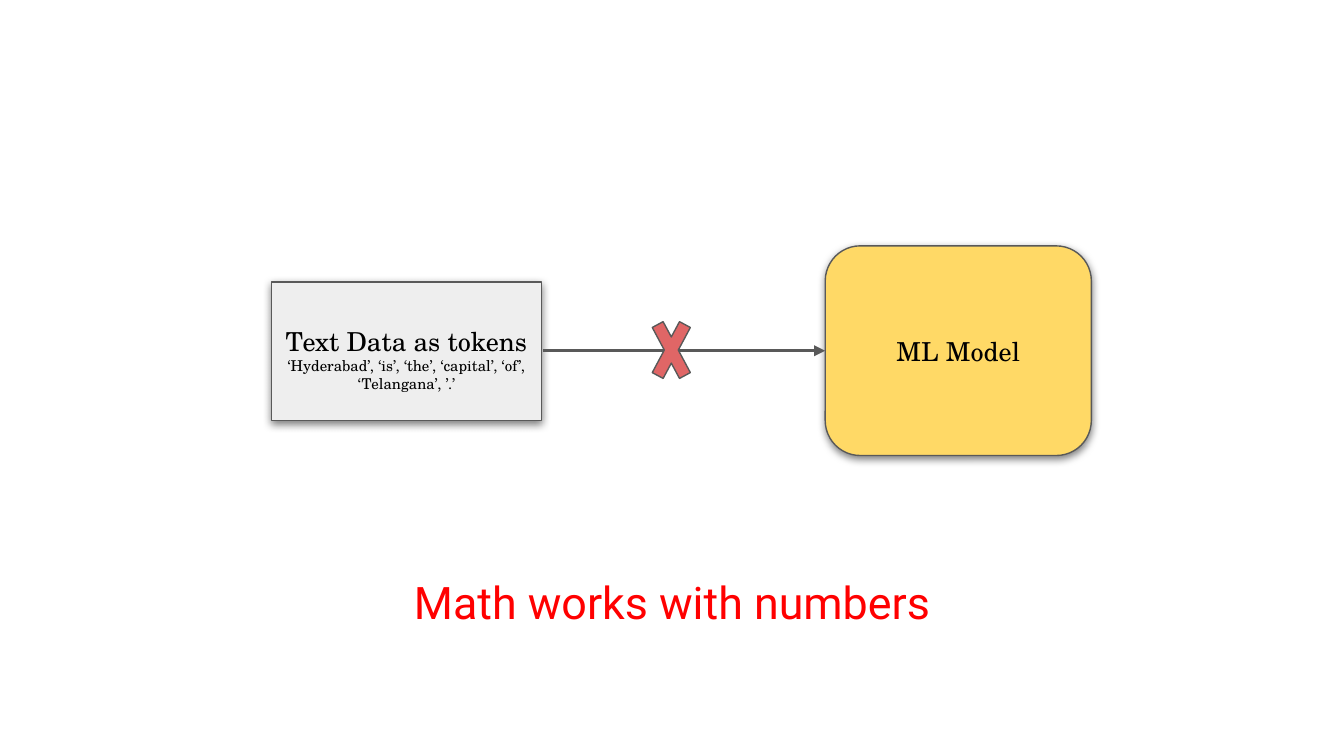
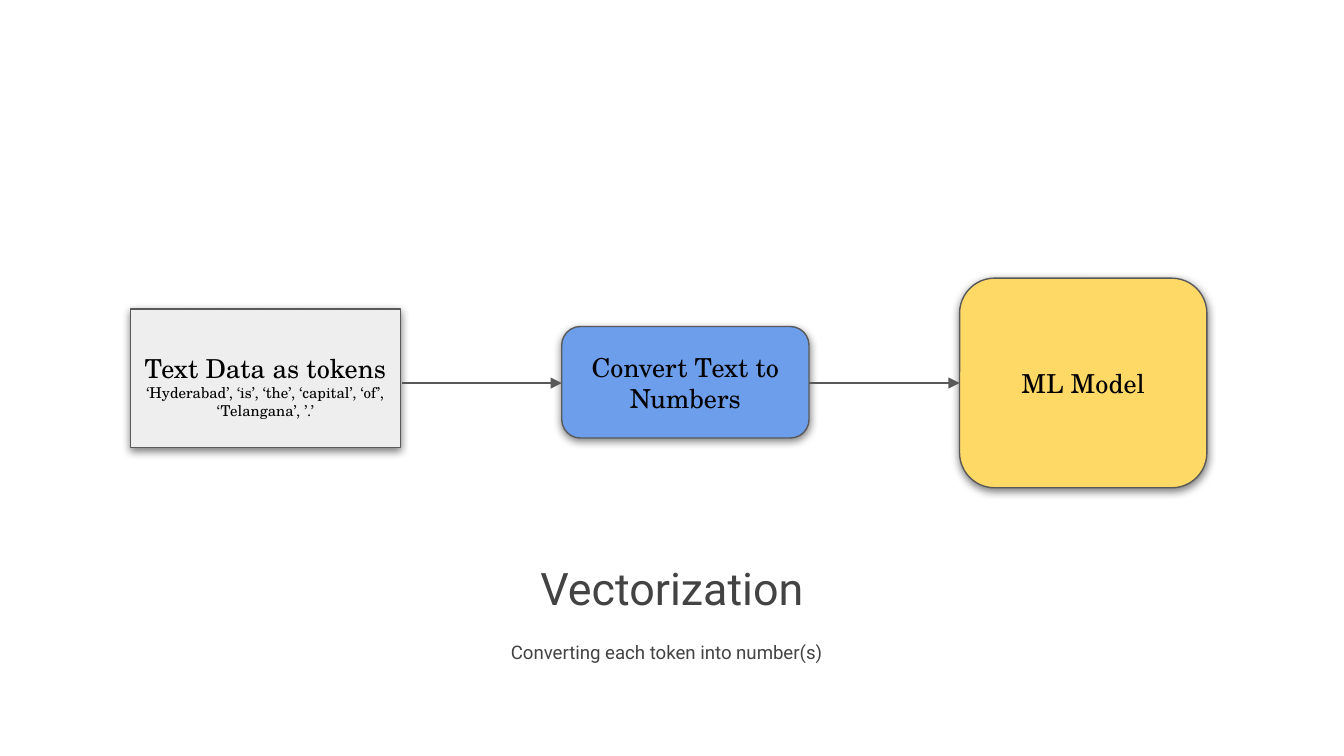
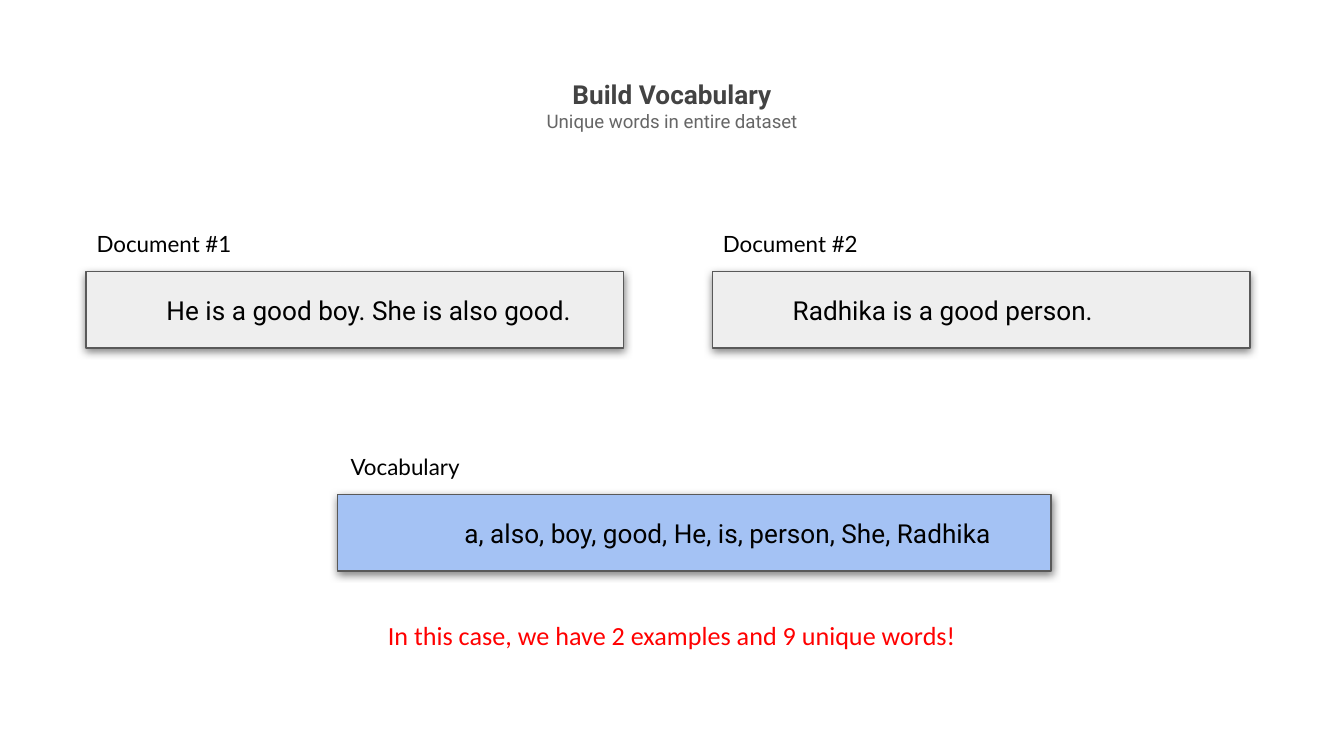
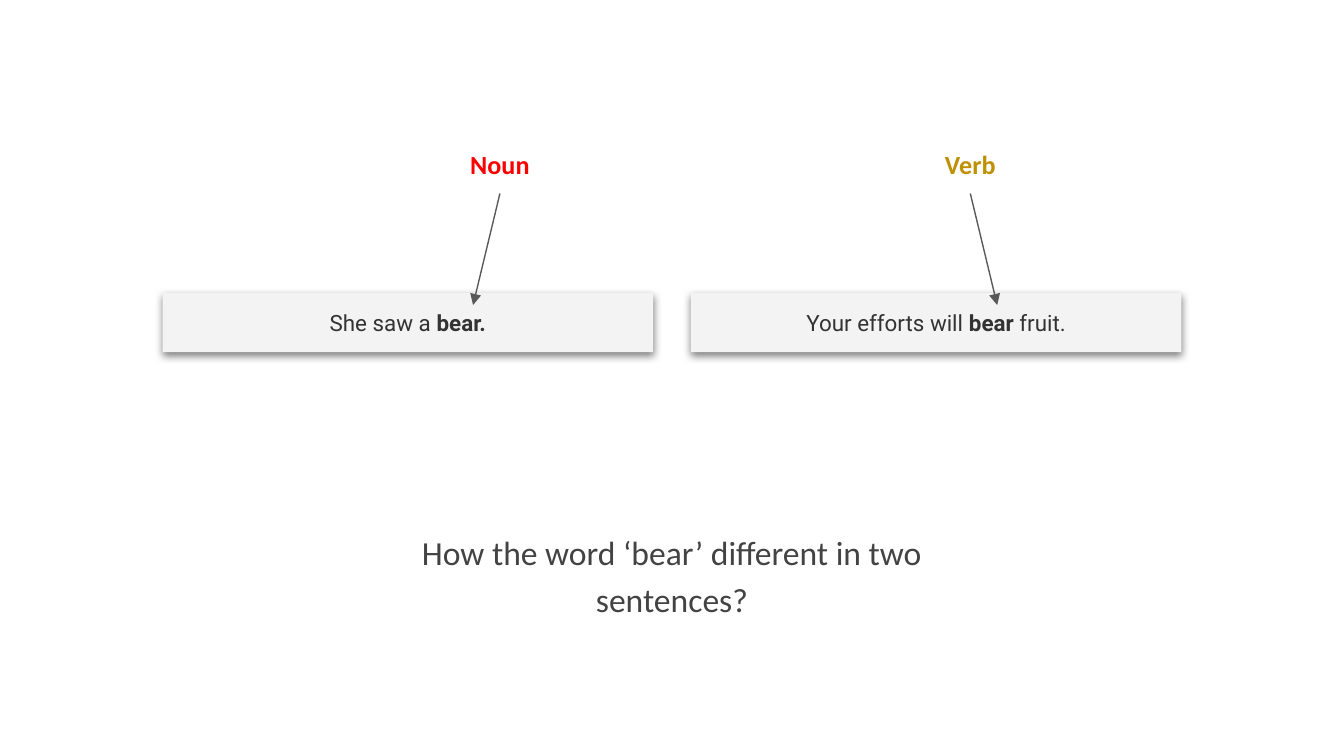
from dataclasses import dataclass
from typing import Optional

from lxml.etree import SubElement
from pptx import Presentation
from pptx.dml.color import RGBColor
from pptx.enum.shapes import MSO_CONNECTOR, MSO_SHAPE
from pptx.enum.text import MSO_ANCHOR, MSO_AUTO_SIZE, PP_ALIGN
from pptx.oxml.ns import qn
from pptx.util import Inches, Pt

COLORS = {
    "black": "000000",
    "dark": "434343",
    "body": "333333",
    "muted": "666666",
    "line": "595959",
    "red": "FF0000",
    "cross": "E06666",
    "gold": "BF9000",
    "yellow": "FFD966",
    "blue": "6D9EEB",
    "light_blue": "A4C2F4",
    "grey": "EEEEEE",
    "pale": "F3F3F3",
}
SERIF = "TeX Gyre Schola"
SLIDE_WIDTH = 10
SLIDE_HEIGHT = SLIDE_WIDTH * 9 / 16
TITLE_LEFT, TITLE_WIDTH = 1.03, 7.94


@dataclass(frozen=True)
class Run:
    text: str
    bold: Optional[bool] = None
    size: Optional[float] = None


@dataclass(frozen=True)
class Para:
    runs: tuple[Run, ...]
    size: float
    font: str = "Roboto"
    color: str = "black"
    bold: bool = False
    align: PP_ALIGN = PP_ALIGN.CENTER
    spacing: float = 1.0
    indent: float = 0


@dataclass(frozen=True)
class Area:
    left: float
    top: float
    width: float
    height: float

    def lengths(self) -> tuple:
        return tuple(Inches(v) for v in (self.left, self.top, self.width, self.height))


@dataclass(frozen=True)
class Box:
    area: Area
    fill: str
    paras: tuple[Para, ...] = ()
    kind: MSO_SHAPE = MSO_SHAPE.RECTANGLE
    adjust: Optional[float] = None
    outlined: bool = True
    shadow: bool = True


def para(text: str, size: float, **style) -> Para:
    return Para((Run(text),), size, **style)


def rgb(name: str) -> RGBColor:
    return RGBColor.from_string(COLORS[name])


def write(tf, paras: tuple[Para, ...], anchor=MSO_ANCHOR.MIDDLE) -> None:
    tf.word_wrap = True
    tf.auto_size = MSO_AUTO_SIZE.NONE
    tf.vertical_anchor = anchor
    tf.margin_left = tf.margin_right = tf.margin_top = tf.margin_bottom = Inches(0.1)
    for i, item in enumerate(paras):
        p = tf.add_paragraph() if i else tf.paragraphs[0]
        p.alignment = item.align
        p.line_spacing = item.spacing
        if item.indent:
            p._p.get_or_add_pPr().set("indent", str(Inches(item.indent)))
        p.font.name = item.font
        p.font.size = Pt(item.size)
        p.font.bold = item.bold
        p.font.color.rgb = rgb(item.color)
        for run in item.runs:
            r = p.add_run()
            r.text = run.text
            if run.bold is not None:
                r.font.bold = run.bold
            if run.size is not None:
                r.font.size = Pt(run.size)


def add_titled_slide(prs, top: float, height: float, *paras: Para,
                     left: float = TITLE_LEFT, width: float = TITLE_WIDTH):
    slide = prs.slides.add_slide(prs.slide_layouts[5])
    title = slide.shapes.title
    title.left, title.top, title.width, title.height = Area(left, top, width, height).lengths()
    write(title.text_frame, paras)
    return slide


def add_box(slide, box: Box) -> None:
    s = slide.shapes.add_shape(box.kind, *box.area.lengths())
    if box.adjust is not None:
        s.adjustments[0] = box.adjust
    s.fill.solid()
    s.fill.fore_color.rgb = rgb(box.fill)
    if box.outlined:
        s.line.color.rgb = rgb("line")
        s.line.width = Pt(0.75)
    else:
        s.line.fill.background()
    s.shadow.inherit = False
    if box.shadow:
        effects = s._element.spPr.find(qn("a:effectLst"))
        outer = SubElement(effects, qn("a:outerShdw"), blurRad=str(Pt(4.5)),
                           dist=str(Pt(1.5)), dir="5400000", algn="bl", rotWithShape="0")
        tint = SubElement(outer, qn("a:srgbClr"), val=COLORS["black"])
        SubElement(tint, qn("a:alpha"), val="50000")
    if box.paras:
        write(s.text_frame, box.paras)


def add_text(slide, area: Area, item: Para, anchor=MSO_ANCHOR.MIDDLE) -> None:
    s = slide.shapes.add_textbox(*area.lengths())
    write(s.text_frame, (item,), anchor)


def add_label(slide, left: float, top: float, text: str, width: float = 4) -> None:
    item = para(text, 12, font="Lato", align=PP_ALIGN.LEFT)
    add_text(slide, Area(left, top, width, 0.41), item, MSO_ANCHOR.TOP)


def add_arrow(slide, x1: float, y1: float, x2: float, y2: float, width: float = 1.5) -> None:
    s = slide.shapes.add_connector(
        MSO_CONNECTOR.STRAIGHT, Inches(x1), Inches(y1), Inches(x2), Inches(y2))
    s.line.color.rgb = rgb("line")
    s.line.width = Pt(width)
    SubElement(s.line._get_or_add_ln(), qn("a:tailEnd"), type="triangle")
    SubElement(s._element.spPr, qn("a:effectLst"))


def add_tokens(slide, left: float, top: float) -> None:
    add_box(slide, Box(Area(left, top, 2.01, 1.03), "grey", (
        para("Text Data as tokens", 14, font=SERIF, spacing=1.5),
        para("‘Hyderabad’, ‘is’, ‘the’, ‘capital’, ‘of’, ‘Telangana’, ’.’", 8, font=SERIF))))


def add_stage(slide, area: Area, fill: str, text: str) -> None:
    add_box(slide, Box(area, fill, (para(text, 14, font=SERIF),),
                       MSO_SHAPE.ROUNDED_RECTANGLE, 0.167))


def build_problem(prs) -> None:
    slide = add_titled_slide(prs, 4.24, 0.47,
                             para("Math works with numbers", 24, color="red"))
    add_tokens(slide, 2.02, 2.1)
    add_stage(slide, Area(6.14, 1.83, 1.98, 1.56), "yellow", "ML Model")
    add_arrow(slide, 4.04, 2.61, 6.14, 2.61)
    add_box(slide, Box(Area(4.8, 2.24, 0.39, 0.73), "cross",
                       kind=MSO_SHAPE.MATH_MULTIPLY, adjust=0.235, shadow=False))


def build_vectorization(prs) -> None:
    slide = add_titled_slide(
        prs, 4.17, 0.8,
        para("Vectorization", 24, color="dark"),
        Para((Run("Converting each token into number(s)"), Run(" ", size=24)), 10, color="dark"))
    add_tokens(slide, 0.97, 2.3)
    add_stage(slide, Area(4.18, 2.43, 1.84, 0.83), "blue", "Convert Text to Numbers")
    add_stage(slide, Area(7.14, 2.07, 1.84, 1.56), "yellow", "ML Model")
    for start, end in ((2.99, 4.18), (6.02, 7.14)):
        add_arrow(slide, start, 2.85, end, 2.85)


def build_vocabulary(prs) -> None:
    slide = add_titled_slide(
        prs, 0.53, 0.47,
        para("Build Vocabulary", 14, color="dark", bold=True, spacing=1.15),
        para("Unique words in entire dataset", 10, color="muted"))
    documents = ("He is a good boy. She is also good.", "Radhika is a good person.")
    for i, text in enumerate(documents):
        left = 0.64 + 4.66 * i
        add_box(slide, Box(Area(left, 2.02, 4, 0.57), "grey",
                           (para(text, 14, align=PP_ALIGN.LEFT, indent=0.5),)))
        add_label(slide, left - 0.02, 1.61, f"Document #{i + 1}")
    add_box(slide, Box(Area(2.51, 3.68, 5.31, 0.57), "light_blue", (
        para("a, also, boy, good, He, is, person, She, Radhika", 14, indent=0.5),)))
    add_label(slide, 2.51, 3.27, "Vocabulary", 4.98)
    add_text(slide, Area(TITLE_LEFT, 4.49, TITLE_WIDTH, 0.47),
             para("In this case, we have 2 examples and 9 unique words!", 14,
                  font="Calibri", color="red"))


def build_word_senses(prs) -> None:
    slide = add_titled_slide(
        prs, 3.67, 1.18,
        para("How the word ‘bear’ different in two sentences?", 18,
             font="Calibri", color="dark", spacing=1.15),
        left=2.71, width=4.58)
    sentences = (
        (Run("She saw a "), Run("bear.", bold=True)),
        (Run("Your efforts will "), Run("bear", bold=True), Run(" fruit.")),
    )
    for i, runs in enumerate(sentences):
        add_box(slide, Box(Area(1.21 + 3.93 * i, 2.18, 3.65, 0.44), "pale",
                           (Para(runs, 12, color="body"),), outlined=False))
    for word, color, center, target in (("Noun", "red", 3.72, 3.52),
                                        ("Verb", "gold", 7.22, 7.42)):
        add_text(slide, Area(center - 0.63, 1, 1.26, 0.44),
                 para(word, 14, font="Calibri", color=color, bold=True))
        add_arrow(slide, center, 1.44, target, 2.27, 0.75)


def main() -> None:
    prs = Presentation()
    prs.slide_width, prs.slide_height = Inches(SLIDE_WIDTH), Inches(SLIDE_HEIGHT)
    for build in (build_problem, build_vectorization, build_vocabulary, build_word_senses):
        build(prs)
    prs.save("out.pptx")


if __name__ == "__main__":
    main()
